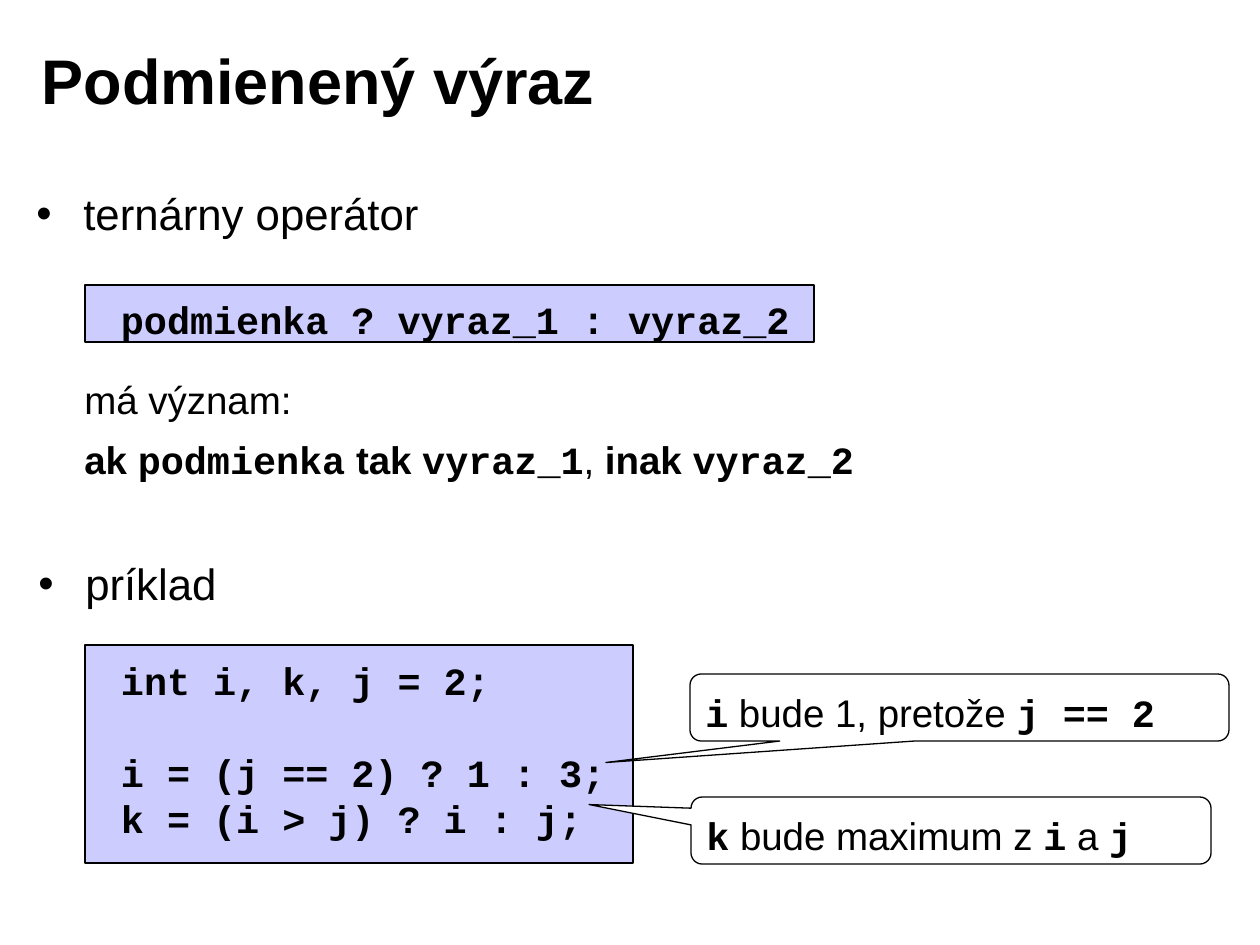
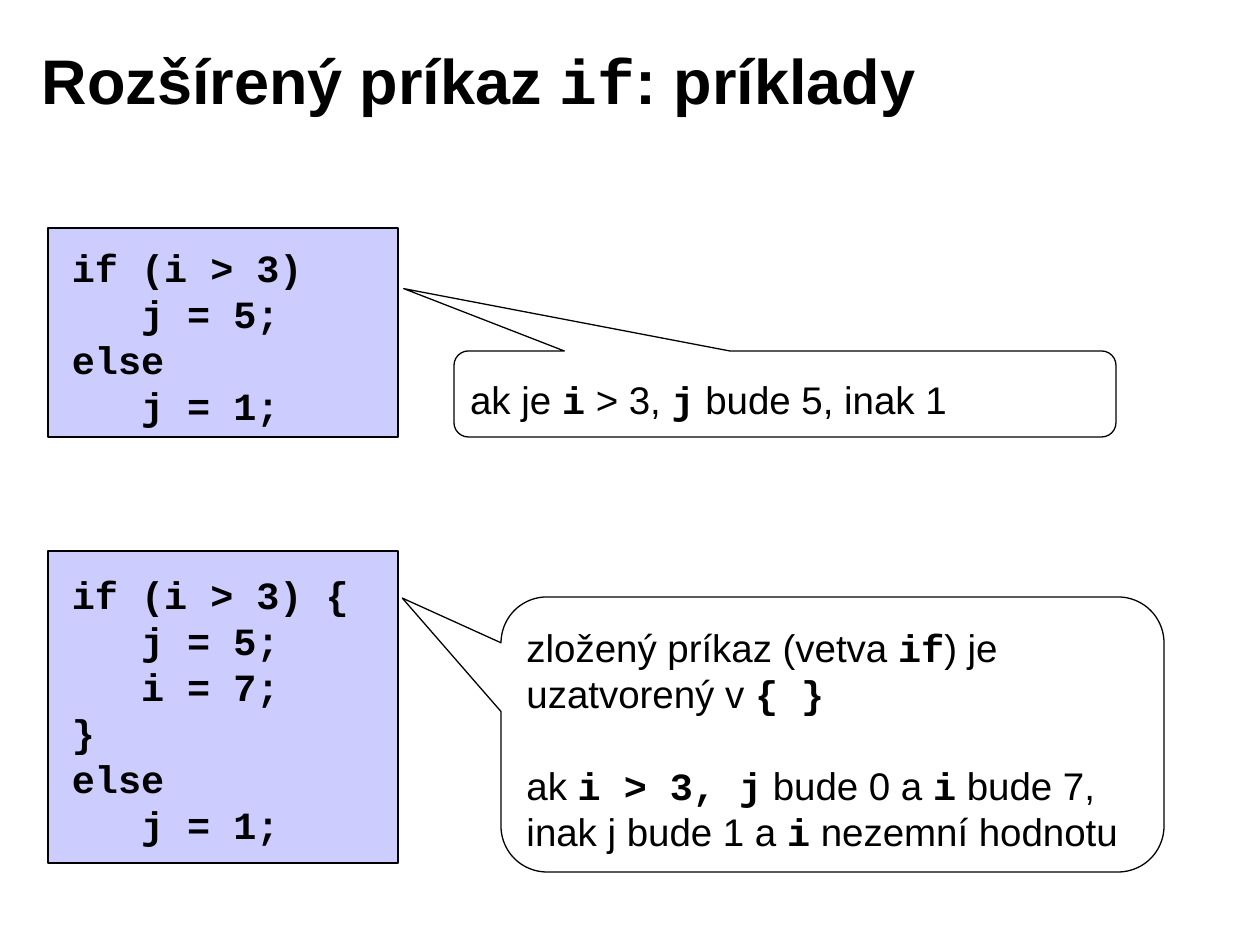
from lxml import etree
from pptx import Presentation
from pptx import util as u
from pptx.dml.color import RGBColor
from pptx.enum import shapes, text
from pptx.oxml.ns import qn

BLACK = RGBColor(0, 0, 0)
WHITE = RGBColor(255, 255, 255)
LILAC = RGBColor(0xCC, 0xCC, 0xFF)
SANS, MONO = "Arial", "Courier New"
PX = 914400 / 126
LEAD = 1.195  # line pitch relative to the font size
HANG = 47
TITLE = (29, 21, 1012, 117)

# Markup: `code`, *bold*; an empty line leaves a gap of one line.
# Boxes are left, top, width, height in px; "pad" is left and top inset.
SLIDES = [
    {
        "title": "Podmienený výraz",
        "notes": [
            {"box": (24, 181, 1211, 76), "size": 25, "bullet": True,
             "lines": ["ternárny operátor"]},
            {"box": (72, 370, 1164, 151), "size": 22, "gap": 8,
             "lines": ["má význam:",
                       "*ak *`podmienka`* tak *`vyraz_1`, *inak *`vyraz_2`"]},
            {"box": (26, 551, 1211, 76), "size": 25, "bullet": True,
             "lines": ["príklad"]},
        ],
        "codes": [
            {"box": (85, 285, 729, 57), "pad": (36, 11),
             "lines": ["podmienka ? vyraz_1 : vyraz_2"]},
            {"box": (85, 645, 548, 218), "pad": (36, 12),
             "lines": ["int i, k, j = 2;", "", "i = (j == 2) ? 1 : 3;",
                       "k = (i > j) ? i : j;"]},
        ],
        "calls": [
            {"box": (690, 674, 539, 67), "tip": (-0.656, 0.821),
             "lines": ["`i` bude 1, pretože `j == 2`"]},
            {"box": (691, 797, 520, 67), "tip": (-0.696, -0.387),
             "lines": ["`k` bude maximum z `i` a `j`"]},
        ],
    },
    {
        "title": "Rozšírený príkaz `if`: príklady",
        "notes": [],
        "codes": [
            {"box": (48, 228, 350, 209), "pad": (24, 16),
             "lines": ["if (i > 3)", "   j = 5;", "else", "   j = 1;"]},
            {"box": (48, 551, 350, 312), "pad": (24, 20),
             "lines": ["if (i > 3) {", "   j = 5;", "   i = 7;", "}",
                       "else", "   j = 1;"]},
        ],
        "calls": [
            {"box": (454, 351, 662, 86), "tip": (-0.576, -1.225),
             "lines": ["ak je `i` > 3, `j` bude 5, inak 1"]},
            {"box": (501, 597, 663, 275), "tip": (-0.649, -0.496),
             "lines": ["zložený príkaz (vetva `if`) je uzatvorený v `{ }`",
                       "",
                       "ak `i > 3, j` bude 0 a `i` bude 7, "
                       "inak j bude 1 a `i` nezemní hodnotu"]},
        ],
    },
]


def px(*vals):
    return [u.Emu(round(v * PX)) for v in vals]


def put(obj, vals):
    for key, val in vals.items():
        setattr(obj, key, val)


def add_runs(para, line, size, bold=False):
    """Turn the marked-up line into formatted runs."""
    for i, part in enumerate(line.split("`")):
        code = i % 2 == 1
        for j, bit in enumerate(part.split("*")):
            if bit:
                run = para.add_run()
                run.text = bit
                put(run.font, {"name": MONO if code else SANS,
                               "size": u.Pt(size),
                               "bold": bold or code or j % 2 == 1})
                run.font.color.rgb = BLACK


def fill_text(frame, lines, size=22, gap=0, bold=False):
    lead = round(size * LEAD, 1)
    frame.word_wrap = True
    para, skip = None, 0
    for line in lines:
        if not line:
            skip = lead
            continue
        first = para is None
        para = frame.paragraphs[0] if first else frame.add_paragraph()
        put(para, {"alignment": text.PP_ALIGN.LEFT,
                   "line_spacing": u.Pt(lead),
                   "space_before": u.Pt(0 if first else gap + skip)})
        skip = 0
        add_runs(para, line, size, bold)


def add_title(slide, line):
    head = slide.shapes.title
    put(head, dict(zip(("left", "top", "width", "height"), px(*TITLE))))
    frame = head.text_frame
    put(frame, {"vertical_anchor": text.MSO_ANCHOR.MIDDLE, "word_wrap": True})
    para = frame.paragraphs[0]
    para.alignment = text.PP_ALIGN.LEFT
    add_runs(para, line, 36, True)


def add_note(slide, box, size, lines, gap=0, bullet=False):
    frame = slide.shapes.add_textbox(*px(*box)).text_frame
    if bullet:
        hang = px(HANG)[0]
        props = frame.paragraphs[0]._p.get_or_add_pPr()
        props.set("marL", str(hang))
        props.set("indent", str(-hang))
        etree.SubElement(props, qn("a:buFont")).set("typeface", SANS)
        etree.SubElement(props, qn("a:buChar")).set("char", "•")
    fill_text(frame, lines, size, gap)


def add_panel(slide, kind, box, color, pad, anchor):
    shape = slide.shapes.add_shape(kind, *px(*box))
    shape.shadow.inherit = False
    shape.fill.solid()
    shape.fill.fore_color.rgb = color
    shape.line.color.rgb = BLACK
    shape.line.width = u.Pt(0.75)
    left, top = px(*pad)
    put(shape.text_frame, {"margin_left": left, "margin_top": top,
                           "margin_right": 0, "margin_bottom": px(6)[0],
                           "vertical_anchor": anchor})
    return shape


def add_code(slide, box, pad, lines):
    shape = add_panel(slide, shapes.MSO_SHAPE.RECTANGLE, box, LILAC, pad,
                      text.MSO_ANCHOR.TOP)
    fill_text(shape.text_frame, [f"`{s}`" if s else s for s in lines])


def add_call(slide, box, tip, lines):
    shape = add_panel(slide, shapes.MSO_SHAPE.ROUNDED_RECTANGULAR_CALLOUT,
                      box, WHITE, (12, 16), text.MSO_ANCHOR.MIDDLE)
    for i, val in enumerate((*tip, 0.167)):
        shape.adjustments[i] = val
    fill_text(shape.text_frame, lines)


def main():
    deck = Presentation()
    put(deck, {"slide_width": u.Inches(10), "slide_height": u.Inches(7.5)})
    for page in SLIDES:
        slide = deck.slides.add_slide(deck.slide_layouts[5])
        add_title(slide, page["title"])
        for key, add in (("notes", add_note), ("codes", add_code),
                         ("calls", add_call)):
            for item in page[key]:
                add(slide, **item)
    deck.save("out.pptx")


if __name__ == "__main__":
    main()
